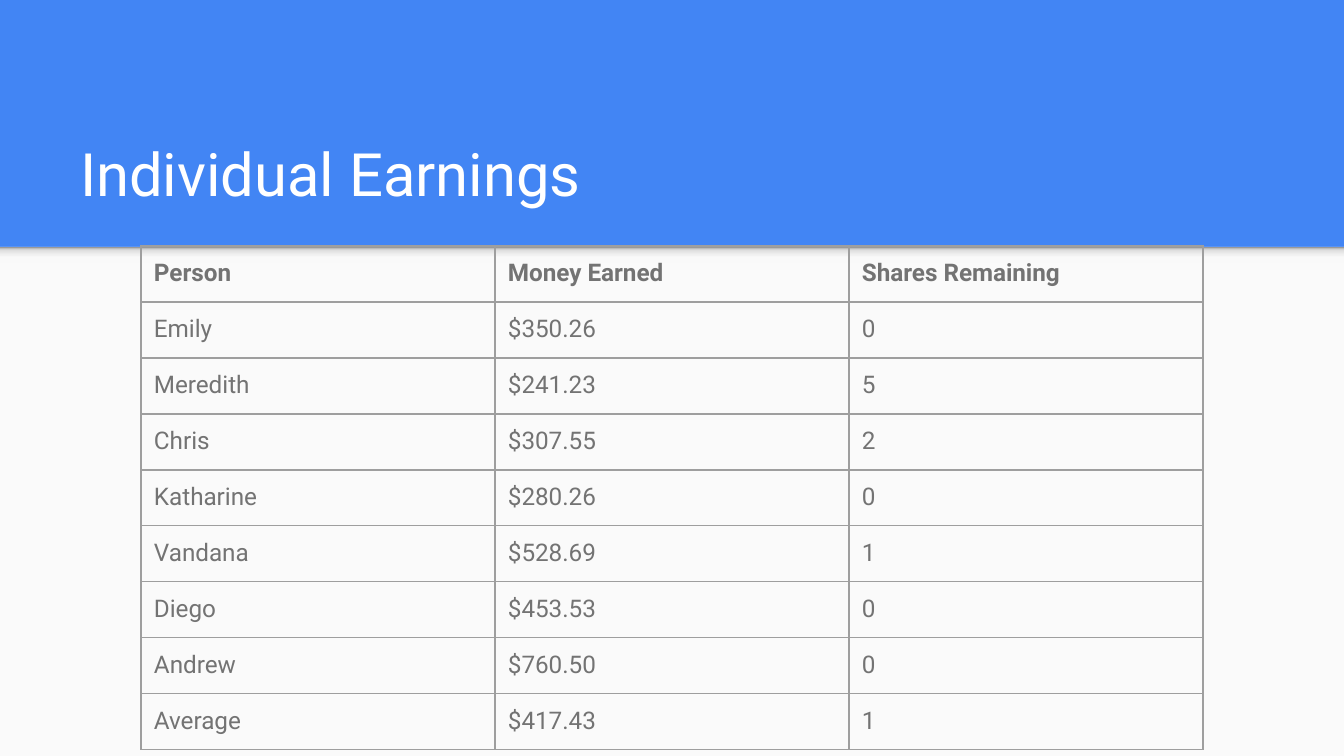
from copy import deepcopy
from dataclasses import dataclass

from lxml import etree
from pptx import Presentation
from pptx.dml.color import RGBColor
from pptx.enum.shapes import MSO_SHAPE
from pptx.enum.text import MSO_ANCHOR, MSO_AUTO_SIZE, PP_ALIGN
from pptx.oxml.ns import qn
from pptx.util import Pt

RECTANGLE = MSO_SHAPE.RECTANGLE
BOTTOM = MSO_ANCHOR.BOTTOM
LEFT = PP_ALIGN.LEFT
NO_AUTOFIT = MSO_AUTO_SIZE.NONE

PX = 914400 / 134.4
TITLE_ONLY = 5


@dataclass(frozen=True)
class Theme:
    font: str = "Roboto"
    band: str = "4285F4"
    panel: str = "FAFAFA"
    title: str = "FFFFFF"
    text: str = "737373"
    border: str = "9E9E9E"
    shadow: tuple = ((0, "F9F9F9"), (0.36, "F9F9F9"), (0.8, "DEDEDE"), (1, "999999"))
    title_size: int = 32
    table_size: int = 13
    border_width: float = 0.75


THEME = Theme()

EARNINGS = [
    ("Person", "Money Earned", "Shares Remaining"),
    ("Emily", "$350.26", "0"),
    ("Meredith", "$241.23", "5"),
    ("Chris", "$307.55", "2"),
    ("Katharine", "$280.26", "0"),
    ("Vandana", "$528.69", "1"),
    ("Diego", "$453.53", "0"),
    ("Andrew", "$760.50", "0"),
    ("Average", "$417.43", "1"),
]


def px(*lengths):
    """Turn pixel lengths into a list of EMU."""
    return [round(length * PX) for length in lengths]


def add_span(para, text, size, color, bold=False):
    span = para.add_run()
    span.text = text
    span.font.name = THEME.font
    span.font.size = Pt(size)
    span.font.bold = bold
    span.font.color.rgb = RGBColor.from_string(color)


deck = Presentation()
deck.slide_width, deck.slide_height = px(1344, 756)
page = deck.slides.add_slide(deck.slide_layouts[TITLE_ONLY])
page.background.fill.solid()
page.background.fill.fore_color.rgb = RGBColor.from_string(THEME.band)

# Light panel with a soft shadow along its top edge
panel = page.shapes.add_shape(RECTANGLE, *px(0, 247, 1344, 509))
panel.fill.solid()
panel.fill.fore_color.rgb = RGBColor.from_string(THEME.panel)

edge = page.shapes.add_shape(RECTANGLE, *px(0, 247, 1344, 16))
edge.fill.gradient()
edge.fill.gradient_angle = 90
stop_list = edge.fill.gradient_stops[0]._gs.getparent()
while len(stop_list) < len(THEME.shadow):
    stop_list.append(deepcopy(stop_list[0]))
for stop, (position, color) in zip(edge.fill.gradient_stops, THEME.shadow):
    stop.position = position
    stop.color.rgb = RGBColor.from_string(color)

for box in (panel, edge):
    box.line.fill.background()
    box.shadow.inherit = False

# Title
title = page.shapes.title
title.left, title.top, title.width, title.height = px(67, 109, 1208, 113)
frame = title.text_frame
frame.auto_size = NO_AUTOFIT
frame.word_wrap = True
frame.vertical_anchor = BOTTOM
frame.margin_left, frame.margin_top, frame.margin_right, frame.margin_bottom = px(13, 13, 13, 13)
para = frame.paragraphs[0]
para.alignment = LEFT
add_span(para, "Individual Earnings", THEME.title_size, THEME.title)

# Earnings table
row_count, column_count = len(EARNINGS), len(EARNINGS[0])
column_width, row_height = 354, 56
table = page.shapes.add_table(
    row_count, column_count,
    *px(141, 246, column_count * column_width, row_count * row_height),
).table
table.first_row = False
table.horz_banding = False
for column in table.columns:
    column.width, = px(column_width)

for row_index, (row, values) in enumerate(zip(table.rows, EARNINGS)):
    row.height, = px(row_height)
    for cell, value in zip(row.cells, values):
        cell.margin_left, cell.margin_top, cell.margin_right, cell.margin_bottom = px(13, 13, 13, 13)
        add_span(cell.text_frame.paragraphs[0], value, THEME.table_size, THEME.text,
                 bold=row_index == 0)
        properties = cell._tc.get_or_add_tcPr()
        for side in ("a:lnL", "a:lnR", "a:lnT", "a:lnB"):
            line = etree.SubElement(properties, qn(side), w=str(Pt(THEME.border_width)))
            line_fill = etree.SubElement(line, qn("a:solidFill"))
            etree.SubElement(line_fill, qn("a:srgbClr"), val=THEME.border)
        cell.fill.background()

deck.save("out.pptx")
